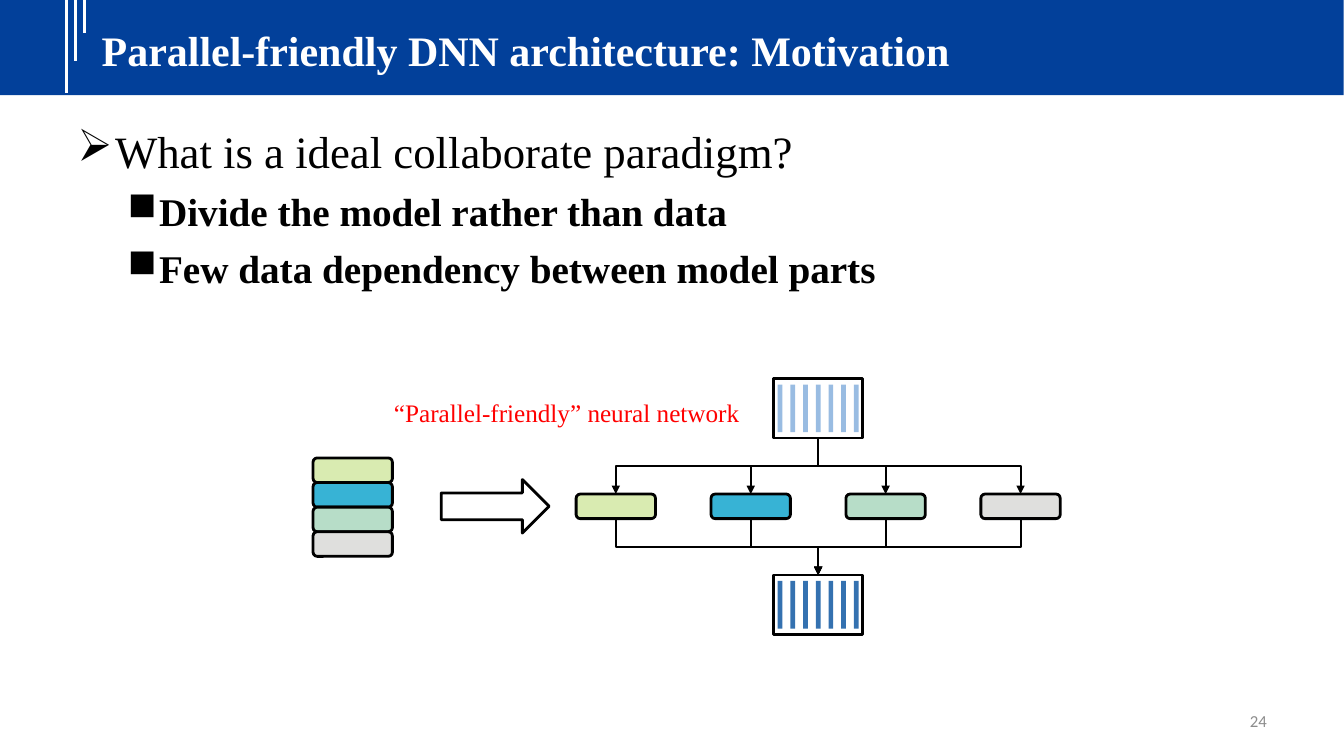
from dataclasses import dataclass

from lxml.etree import SubElement
from pptx import Presentation
from pptx.dml.color import RGBColor
from pptx.enum.shapes import MSO_CONNECTOR as Line, MSO_SHAPE as Preset
from pptx.enum.text import MSO_ANCHOR as Anchor, PP_ALIGN as Align
from pptx.oxml.ns import qn
from pptx.util import Cm, Pt

SERIF = "Times New Roman"
CELL_WIDTH, CELL_HEIGHT = 2.0, 0.62
CELL_COLOURS = ["D9EBB1", "37B3D5", "B7DDC8", "DFDFDD"]
STACK_X, STACK_Y = 8.89, 11.85
ROW_X, ROW_Y, ROW_PITCH = 15.52, 12.76, 3.4
LAYER_X = ROW_X + 1.5 * ROW_PITCH
LAYER_WIDTH, LAYER_HEIGHT = 2.25, 1.5
BAR_COUNT, BAR_PITCH, BAR_WIDTH, BAR_HEIGHT = 7, 0.32, 0.12, 1.2


@dataclass
class Layer:
    centre_y: float
    colour: str


@dataclass
class Bullet:
    text: str
    symbol: str
    level: int
    size: int
    margin: float
    hanging: float


INPUT = Layer(10.29, "99BCE2")
OUTPUT = Layer(15.24, "3471B0")
BULLETS = [
    Bullet("What is a ideal collaborate paradigm?", "➢", 0, 32, 0.95, 0.95),
    Bullet("Divide the model rather than data", "■", 1, 28, 2.06, 0.79),
    Bullet("Few data dependency between model parts", "■", 1, 28, 2.06, 0.79),
]


def rgb(colour: str) -> RGBColor:
    return RGBColor.from_string(colour)


def set_font(paragraph, size: int, colour: str, name: str = SERIF, bold: bool = False) -> None:
    for run in paragraph.runs:
        run.font.name, run.font.size, run.font.bold = name, Pt(size), bold
        run.font.color.rgb = rgb(colour)


def add_box(slide, preset, centre_x: float, centre_y: float, width: float, height: float,
            fill: str | None, line_width: float = 0) -> None:
    """Draw a preset shape around its centre; a zero line width means no outline."""
    shape = slide.shapes.add_shape(preset, Cm(centre_x - width / 2), Cm(centre_y - height / 2),
                                   Cm(width), Cm(height))
    shape.shadow.inherit = False
    if fill:
        shape.fill.solid()
        shape.fill.fore_color.rgb = rgb(fill)
    else:
        shape.fill.background()
    if line_width:
        shape.line.width = Pt(line_width)
        shape.line.color.rgb = rgb("000000")
    else:
        shape.line.fill.background()


def add_line(slide, kind, start: tuple, end: tuple, colour: str, width: float):
    connector = slide.shapes.add_connector(kind, *map(Cm, start + end))
    connector.line.color.rgb = rgb(colour)
    connector.line.width = Pt(width)
    SubElement(connector._element.spPr, qn("a:effectLst"))
    return connector


def add_downward_elbow(slide, start: tuple, end: tuple) -> None:
    """Draw a down-across-down arrow as a sideways elbow turned by a quarter."""
    (start_x, start_y), (end_x, end_y) = start, end
    middle_x, middle_y = (start_x + end_x) / 2, (start_y + end_y) / 2
    half_drop, half_span = (end_y - start_y) / 2, abs(end_x - start_x) / 2
    side = 1 if end_x < start_x else -1
    connector = add_line(slide, Line.ELBOW,
                         (middle_x - side * half_drop, middle_y - half_span),
                         (middle_x + side * half_drop, middle_y + half_span), "000000", 1.5)
    properties = connector._element.spPr
    properties.find(qn("a:xfrm")).set("rot", str((90 if side == 1 else 270) * 60000))
    SubElement(properties.find(qn("a:ln")), qn("a:tailEnd"), type="triangle")


def add_text_box(slide, left: float, top: float, width: float, height: float, text: str = ""):
    frame = slide.shapes.add_textbox(Cm(left), Cm(top), Cm(width), Cm(height)).text_frame
    frame.word_wrap = True
    frame.text = text
    return frame


def add_header(slide) -> None:
    add_box(slide, Preset.RECTANGLE, 16.93, 1.2, 33.87, 2.4, "02409A")
    for x, length in [(1.67, 2.34), (1.9, 1.54), (2.13, 0.83)]:
        add_line(slide, Line.STRAIGHT, (x, 0), (x, length), "FFFFFF", 2.25)
    title = slide.shapes.title
    title.left, title.top, title.width, title.height = Cm(2.31), Cm(0.48), Cm(30.89), Cm(1.55)
    frame = title.text_frame
    frame.text = "Parallel-friendly DNN architecture: Motivation"
    frame.vertical_anchor = Anchor.MIDDLE
    frame.paragraphs[0].alignment = Align.LEFT
    set_font(frame.paragraphs[0], 30, "FFFFFF", bold=True)
    title._element.getparent().append(title._element)  # bring in front of the band


def add_bullets(slide) -> None:
    frame = add_text_box(slide, 1.7, 3, 30.48, 14.1)
    for index, bullet in enumerate(BULLETS):
        paragraph = frame.add_paragraph() if index else frame.paragraphs[0]
        paragraph.text = bullet.text
        paragraph.level = bullet.level
        if index:
            paragraph.space_before = Pt(7)
        properties = paragraph._p.get_or_add_pPr()
        properties.set("marL", str(Cm(bullet.margin)))
        properties.set("indent", str(-Cm(bullet.hanging)))
        SubElement(properties, qn("a:buChar"), char=bullet.symbol)
        set_font(paragraph, bullet.size, "000000", bold=bullet.level > 0)


def add_layer(slide, layer: Layer) -> None:
    for index in range(BAR_COUNT):
        x = LAYER_X + (index - (BAR_COUNT - 1) / 2) * BAR_PITCH
        add_box(slide, Preset.RECTANGLE, x, layer.centre_y, BAR_WIDTH, BAR_HEIGHT, layer.colour)
    add_box(slide, Preset.RECTANGLE, LAYER_X, layer.centre_y, LAYER_WIDTH, LAYER_HEIGHT, None, 2)


def add_network(slide) -> None:
    for index, colour in enumerate(CELL_COLOURS):
        add_box(slide, Preset.ROUNDED_RECTANGLE, STACK_X, STACK_Y + index * CELL_HEIGHT,
                CELL_WIDTH, CELL_HEIGHT, colour, 2)
    add_layer(slide, INPUT)
    add_layer(slide, OUTPUT)
    for index, colour in enumerate(CELL_COLOURS):
        x = ROW_X + index * ROW_PITCH
        add_box(slide, Preset.ROUNDED_RECTANGLE, x, ROW_Y, CELL_WIDTH, CELL_HEIGHT, colour, 2)
        add_downward_elbow(slide, (LAYER_X, INPUT.centre_y + LAYER_HEIGHT / 2),
                           (x, ROW_Y - CELL_HEIGHT / 2))
        add_downward_elbow(slide, (x, ROW_Y + CELL_HEIGHT / 2),
                           (LAYER_X, OUTPUT.centre_y - LAYER_HEIGHT / 2))
    add_box(slide, Preset.RIGHT_ARROW, 12.48, ROW_Y, 2.72, 1.35, "FFFFFF", 2)
    label = add_text_box(slide, 9.68, 9.88, 10.74, 1.02, "“Parallel-friendly” neural network")
    set_font(label.paragraphs[0], 18, "FF0000")


def add_page_number(slide) -> None:
    frame = add_text_box(slide, 24.28, 17.65, 7.9, 1.02, "24")
    frame.vertical_anchor = Anchor.MIDDLE
    frame.paragraphs[0].alignment = Align.RIGHT
    set_font(frame.paragraphs[0], 12, "8C8C8C", "Calibri")


def main() -> None:
    presentation = Presentation()
    presentation.slide_width, presentation.slide_height = Cm(33.87), Cm(19.05)
    slide = presentation.slides.add_slide(presentation.slide_layouts[5])
    add_header(slide)
    add_bullets(slide)
    add_network(slide)
    add_page_number(slide)
    presentation.save("out.pptx")


if __name__ == "__main__":
    main()
